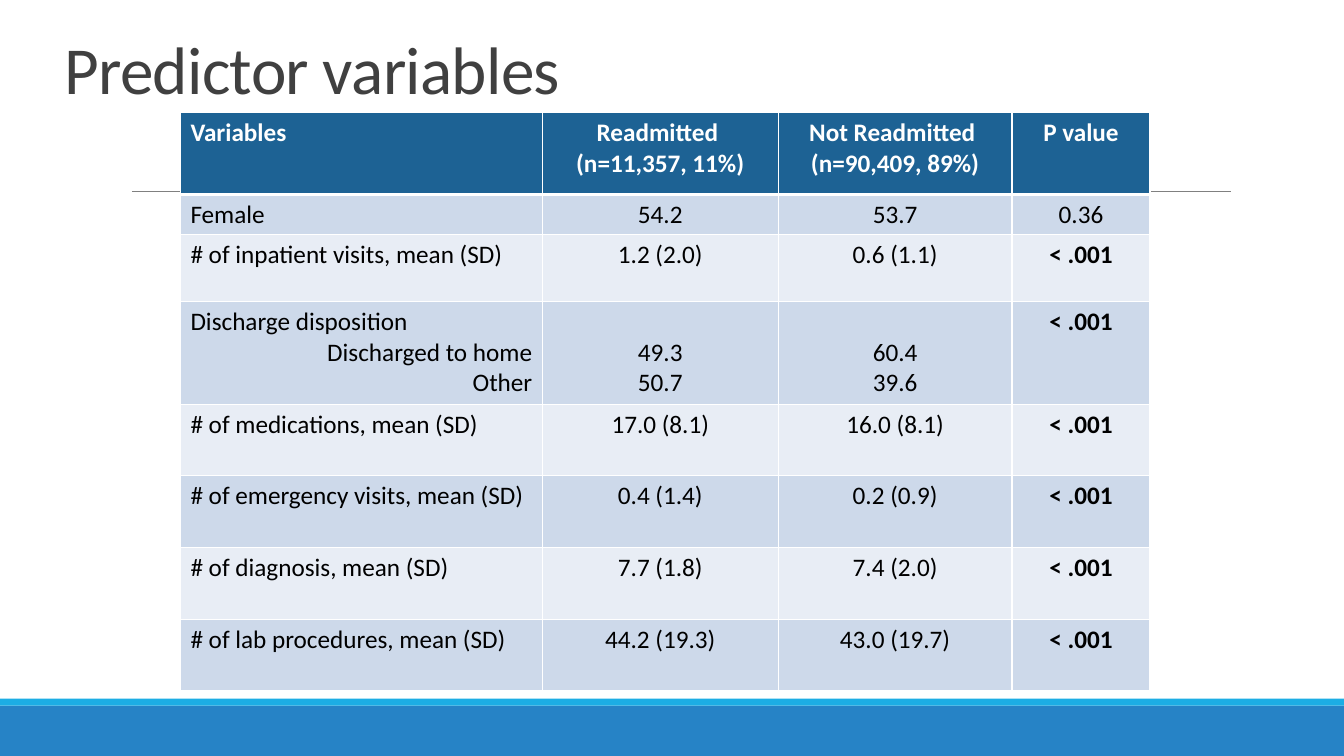
import pptx
import pptx.util
import pptx.dml.color
import pptx.enum.text
import pptx.enum.shapes
import pptx.oxml
import pptx.oxml.ns
import lxml.etree

Pt = pptx.util.Pt
Align = pptx.enum.text.PP_ALIGN
qn = pptx.oxml.ns.qn

TITLE = "Predictor variables"
LOW = "< .001"
HEAD = ["Variables", "Readmitted \n(n=11,357, 11%)",
        "Not Readmitted \n(n=90,409, 89%)", "P value"]
ROWS = [
    ["Female", "54.2", "53.7", "0.36"],
    ["# of inpatient visits, mean (SD)", "1.2 (2.0)", "0.6 (1.1)", LOW],
    ["Discharge disposition\nDischarged to home\nOther",
     "49.3\n50.7", "60.4\n39.6", LOW],
    ["# of medications, mean (SD)", "17.0 (8.1)", "16.0 (8.1)", LOW],
    ["# of emergency visits, mean (SD)", "0.4 (1.4)", "0.2 (0.9)", LOW],
    ["# of diagnosis, mean (SD)", "7.7 (1.8)", "7.4 (2.0)", LOW],
    ["# of lab procedures, mean (SD)", "44.2 (19.3)", "43.0 (19.7)", LOW],
]
SPLIT = 3
WIDTHS = [258.5, 168.5, 167, 98.6]
HEIGHTS = [58.3, 28.8, 47.5, 73.5] + [51.2] * 4
LEFT, TOP = 128.9, 80.6
WIDE, HIGH = 960, 540
BANDS = [("base", 504, 36), ("strip", 499, 5)]
RULE = (94.3, 879.1, 136.8)

THEME = {
    "font": "Calibri", "title": 48, "body": 18, "line": 22,
    "ink": "404040", "black": "000000", "white": "FFFFFF",
    "base": "2683C6", "strip": "1CADE4", "rule": "808080",
    "head": "1D6294", "rows": ["CDD9EA", "E8EDF5"],
}


def tint(code):
    return pptx.dml.color.RGBColor.from_string(code)


def apply(item, form):
    for key, value in form.items():
        setattr(item, key, value)


def paint(fill, code):
    fill.solid()
    fill.fore_color.rgb = tint(code)


def write(para, text, size, code, bold=False):
    run = para.add_run()
    run.text = text
    apply(run.font, {"name": THEME["font"], "size": Pt(size), "bold": bold})
    run.font.color.rgb = tint(code)
    return run


def edge(cell, sides):
    props = cell._tc.get_or_add_tcPr()
    for spot, (side, width) in enumerate(sides.items()):
        line = lxml.etree.Element(qn("a:ln" + side), w=str(Pt(width)))
        fill = lxml.etree.SubElement(line, qn("a:solidFill"))
        lxml.etree.SubElement(fill, qn("a:srgbClr"), val=THEME["white"])
        props.insert(spot, line)


deck = pptx.Presentation()
apply(deck, {"slide_width": Pt(WIDE), "slide_height": Pt(HIGH)})
slide = deck.slides.add_slide(deck.slide_layouts[6])
shapes = slide.shapes

for name, top, high in BANDS:
    band = shapes.add_shape(pptx.enum.shapes.MSO_SHAPE.RECTANGLE,
                            0, Pt(top), Pt(WIDE), Pt(high))
    band.shadow.inherit = False
    paint(band.fill, THEME[name])
    band.line.fill.background()

start, end, level = RULE
rule = shapes.add_connector(pptx.enum.shapes.MSO_CONNECTOR.STRAIGHT,
                            Pt(start), Pt(level), Pt(end), Pt(level))
rule.line.width = Pt(0.5)
rule.line.color.rgb = tint(THEME["rule"])
lxml.etree.SubElement(rule._element.spPr, qn("a:effectLst"))

title = shapes.add_textbox(Pt(38.9), Pt(5), Pt(792), Pt(75.6)).text_frame
apply(title, {"word_wrap": True,
              "vertical_anchor": pptx.enum.text.MSO_ANCHOR.BOTTOM})
para = title.paragraphs[0]
para.line_spacing = 0.85
run = write(para, TITLE, THEME["title"], THEME["ink"])
run.font._element.set("spc", "-50")

grid = [HEAD] + ROWS
table = shapes.add_table(len(grid), len(HEAD), Pt(LEFT), Pt(TOP),
                         Pt(sum(WIDTHS)), Pt(sum(HEIGHTS))).table
for col, width in zip(table.columns, WIDTHS):
    col.width = Pt(width)
for row, high in zip(table.rows, HEIGHTS):
    row.height = Pt(high)

for r, texts in enumerate(grid):
    for c, text in enumerate(texts):
        cell = table.cell(r, c)
        head = r == 0
        paint(cell.fill, THEME["head"] if head else THEME["rows"][(r - 1) % 2])
        edge(cell, {"L": 1, "R": 1, "T": 3 if r == 1 else 1,
                    "B": 3 if head else 1})
        if r == SPLIT and c in (1, 2):
            cell.margin_top = Pt(3.6 + THEME["line"])
        frame = cell.text_frame
        for n, part in enumerate(text.split("\n")):
            para = frame.add_paragraph() if n else frame.paragraphs[0]
            first = Align.RIGHT if n else Align.LEFT
            para.alignment = Align.CENTER if c else first
            write(para, part, THEME["body"],
                  THEME["white"] if head else THEME["black"],
                  head or part == LOW)

deck.save("out.pptx")
